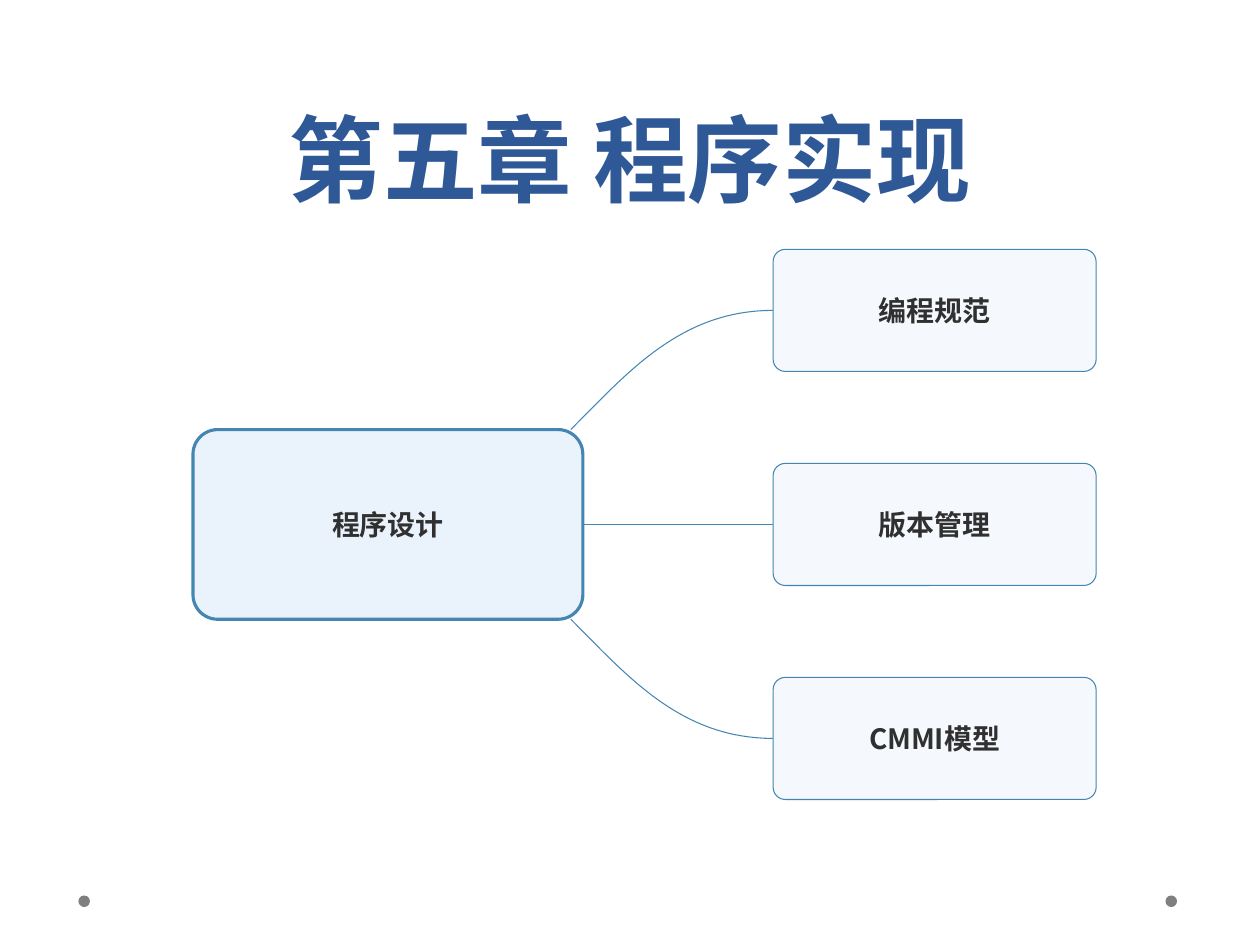
"""Build the chapter five mind map slide."""
from lxml.etree import SubElement
from pptx import Presentation
from pptx.dml.color import RGBColor
from pptx.enum.shapes import MSO_CONNECTOR, MSO_SHAPE
from pptx.enum.text import MSO_ANCHOR, MSO_AUTO_SIZE, PP_ALIGN
from pptx.oxml.ns import qn
from pptx.util import Pt

TITLE_BLUE = RGBColor(0x2F, 0x58, 0x97)
LINE_BLUE = RGBColor(0x44, 0x86, 0xB1)
ROOT_FILL = RGBColor(0xEA, 0xF3, 0xFC)
BRANCH_FILL = RGBColor(0xF5, 0xF9, 0xFE)
TEXT_GREY = RGBColor(0x30, 0x30, 0x30)
DOT_GREY = RGBColor(0x7F, 0x7F, 0x7F)
CJK_FONT = "Noto Sans CJK SC"


def add_label(frame, label, size, latin, color):
    paragraph = frame.paragraphs[0]
    paragraph.alignment = PP_ALIGN.CENTER
    run = paragraph.add_run()
    run.text = label
    run.font.size = Pt(size)
    run.font.bold = True
    run.font.name = latin
    run.font.color.rgb = color
    SubElement(run.font._element, qn("a:ea"), typeface=CJK_FONT)
    return paragraph


def add_topic(label, left, top, width, height, corner, fill, weight):
    topic = slide.shapes.add_shape(
        MSO_SHAPE.ROUNDED_RECTANGLE, Pt(left), Pt(top), Pt(width), Pt(height))
    topic.adjustments[0] = corner
    topic.shadow.inherit = False
    topic.fill.solid()
    topic.fill.fore_color.rgb = fill
    topic.line.color.rgb = LINE_BLUE
    topic.line.width = Pt(weight)
    frame = topic.text_frame
    frame.margin_left = frame.margin_right = frame.margin_top = frame.margin_bottom = 0
    frame.vertical_anchor = MSO_ANCHOR.MIDDLE
    add_label(frame, label, 16, CJK_FONT, TEXT_GREY)


presentation = Presentation()
presentation.slide_width, presentation.slide_height = Pt(720), Pt(540)
slide = presentation.slides.add_slide(presentation.slide_layouts[5])

for dot_left in (666, 44.8):
    dot = slide.shapes.add_shape(MSO_SHAPE.OVAL, Pt(dot_left), Pt(511.7), Pt(6.6), Pt(6.6))
    dot.shadow.inherit = False
    dot.fill.solid()
    dot.fill.fore_color.rgb = DOT_GREY
    dot.line.fill.background()

title = slide.shapes.title
title.left, title.top, title.width, title.height = Pt(36), Pt(0), Pt(648), Pt(126)
title.text_frame.auto_size = MSO_AUTO_SIZE.NONE
title.text_frame.vertical_anchor = MSO_ANCHOR.BOTTOM
heading = add_label(title.text_frame, "第五章 程序实现", 54, "Karla", TITLE_BLUE)
heading.line_spacing = Pt(58)

MIDDLE = 299.7
ROOT_LEFT, ROOT_WIDTH, ROOT_HEIGHT = 110.3, 222.8, 108.4
BRANCH_LEFT, BRANCH_WIDTH, BRANCH_HEIGHT, BRANCH_STEP = 441.8, 184.6, 69.8, 122.3
CURVE_STEPS = 32

for side in (-1, 1):
    start, end = MIDDLE + side * ROOT_HEIGHT / 2, MIDDLE + side * BRANCH_STEP
    controls = ((326.2, start), (358.6, start + side * 32.4), (388.8, end), (BRANCH_LEFT, end))
    points = []
    for step in range(CURVE_STEPS + 1):
        t = step / CURVE_STEPS
        weights = ((1 - t) ** 3, 3 * t * (1 - t) ** 2, 3 * t ** 2 * (1 - t), t ** 3)
        points.append(tuple(
            Pt(sum(w * control[axis] for w, control in zip(weights, controls)))
            for axis in (0, 1)))
    builder = slide.shapes.build_freeform(*points[0])
    builder.add_line_segments(points[1:], close=False)
    curve = builder.convert_to_shape()
    curve.shadow.inherit = False
    curve.fill.background()
    curve.line.color.rgb = LINE_BLUE
    curve.line.width = Pt(0.6)

link = slide.shapes.add_connector(
    MSO_CONNECTOR.STRAIGHT, Pt(ROOT_LEFT + ROOT_WIDTH), Pt(MIDDLE), Pt(BRANCH_LEFT), Pt(MIDDLE))
link.line.color.rgb = LINE_BLUE
link.line.width = Pt(0.6)
SubElement(link._element.spPr, qn("a:effectLst"))

add_topic("程序设计", ROOT_LEFT, MIDDLE - ROOT_HEIGHT / 2, ROOT_WIDTH, ROOT_HEIGHT,
          0.13, ROOT_FILL, 1.79)
for row, branch in enumerate(("编程规范", "版本管理", "CMMI模型")):
    branch_top = MIDDLE + (row - 1) * BRANCH_STEP - BRANCH_HEIGHT / 2
    add_topic(branch, BRANCH_LEFT, branch_top, BRANCH_WIDTH, BRANCH_HEIGHT,
              0.1, BRANCH_FILL, 0.6)

presentation.save("out.pptx")
